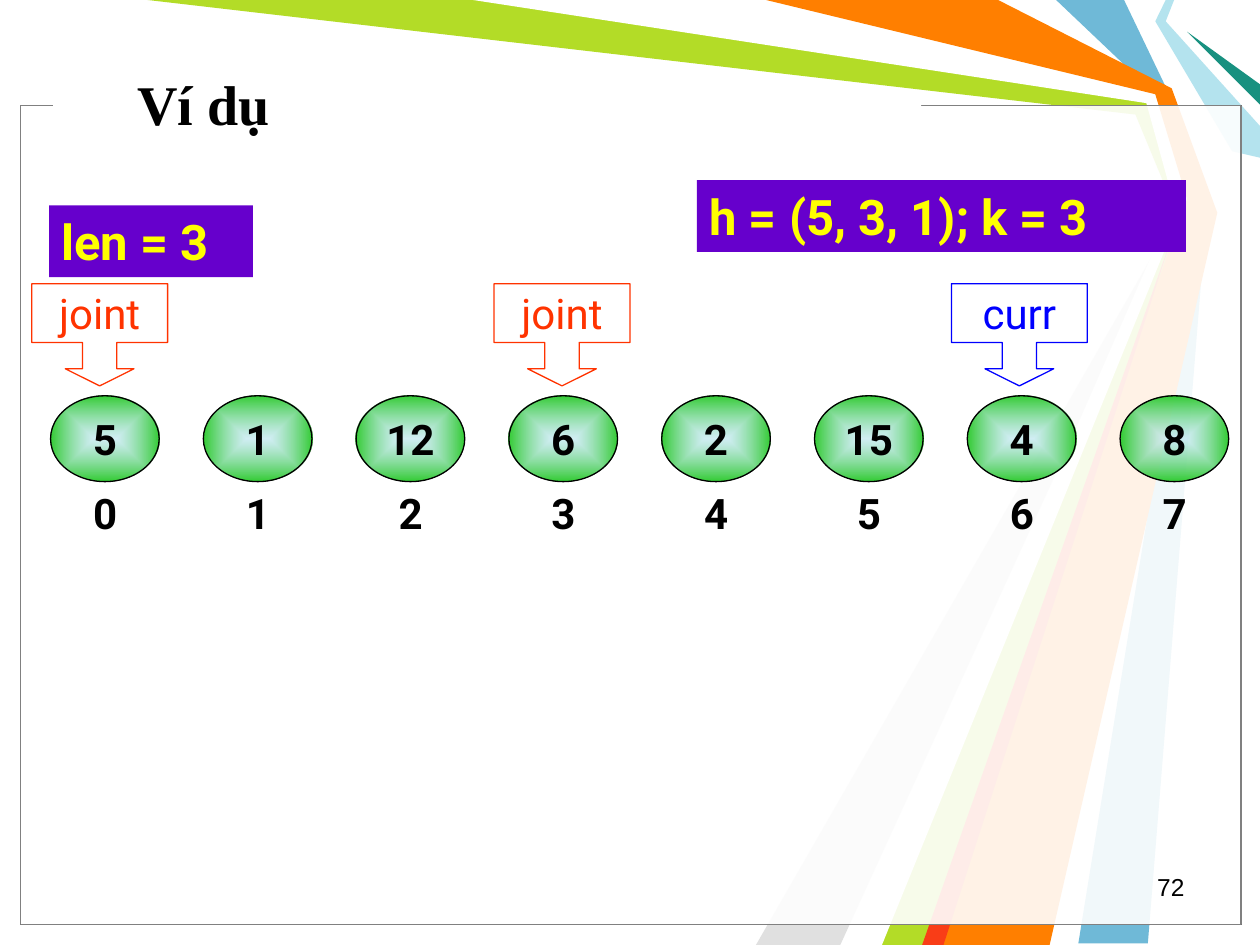
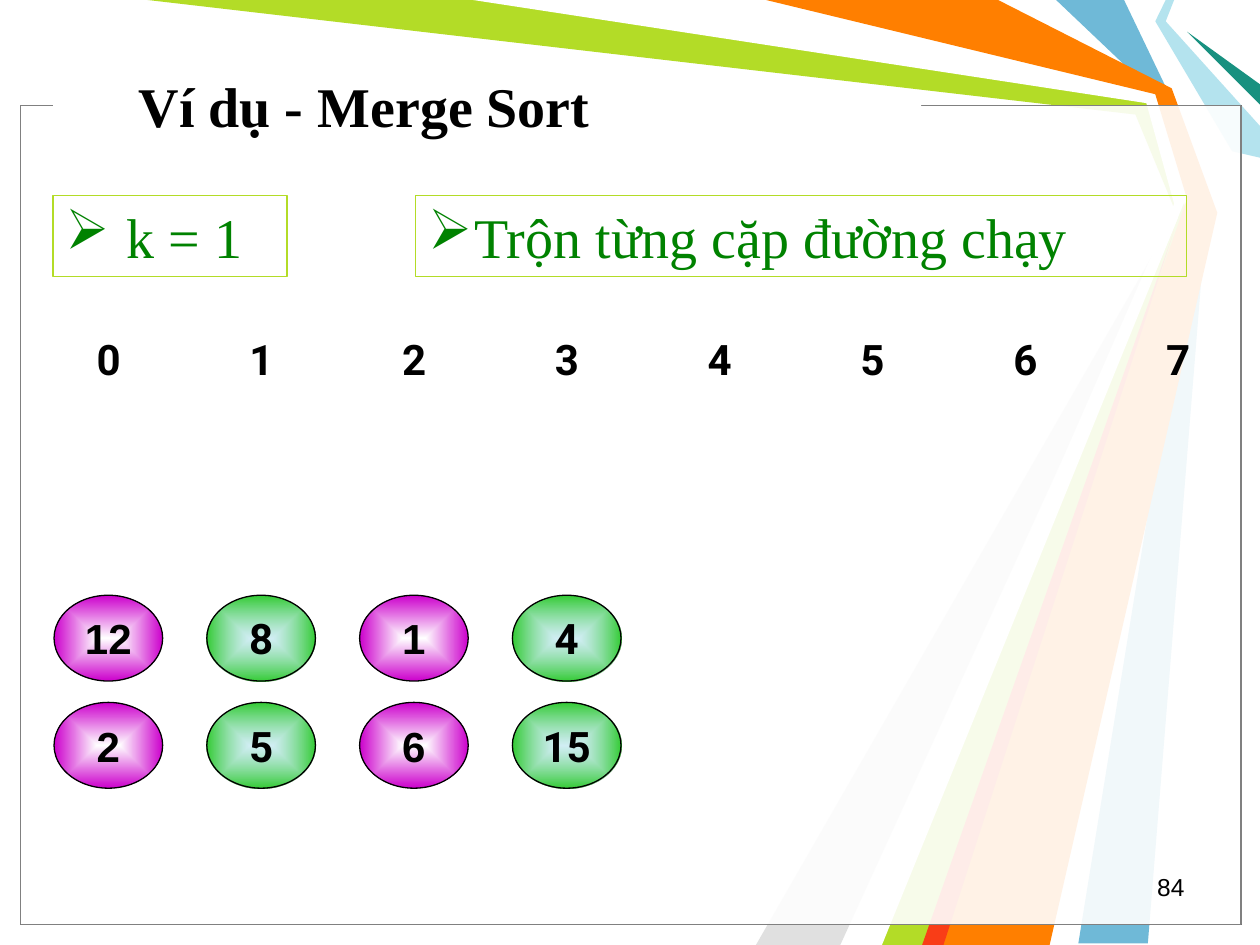
"""Build two sorting example slides over a shared layout of coloured rays."""
from pptx import Presentation
from pptx.dml.color import RGBColor
from pptx.enum.shapes import MSO_SHAPE as Shape
from pptx.enum.text import MSO_ANCHOR as Anchor, MSO_AUTO_SIZE as AutoSize, PP_ALIGN as Align
from pptx.oxml import parse_xml
from pptx.oxml.ns import nsdecls, qn
from pptx.util import Cm, Pt

BLACK = RGBColor(0x00, 0x00, 0x00)
WHITE = RGBColor(0xFF, 0xFF, 0xFF)
GREY = RGBColor(0x80, 0x80, 0x80)
LIGHT_GREY = RGBColor(0xE0, 0xE0, 0xE0)
SKY = RGBColor(0x6F, 0xB9, 0xD7)
LIME = RGBColor(0xB3, 0xDC, 0x27)
PALE_BLUE = RGBColor(0xB4, 0xE3, 0xEE)
TEAL = RGBColor(0x18, 0x91, 0x80)
ORANGE = RGBColor(0xFF, 0x7F, 0x00)
RED = RGBColor(0xF9, 0x3D, 0x17)
GREEN = RGBColor(0x33, 0xCC, 0x33)
DARK_GREEN = RGBColor(0x00, 0x82, 0x00)
MAGENTA = RGBColor(0xCC, 0x00, 0xCC)
PURPLE = RGBColor(0x66, 0x00, 0xCC)
YELLOW = RGBColor(0xFF, 0xFF, 0x00)
BLUE = RGBColor(0x00, 0x00, 0xFF)
VERMILION = RGBColor(0xFF, 0x33, 0x00)

DIGIT = {"name": "Roboto", "size": Pt(24), "bold": True}
ARIAL_DIGIT = {**DIGIT, "name": "Arial"}
POINTER = {**DIGIT, "bold": False}
BANNER = {"name": "Roboto", "size": Pt(28), "bold": True}
TITLE = {"name": "Times New Roman", "size": Pt(32), "bold": True}
NOTE = {**TITLE, "bold": False}
PAGE = {"name": "Arial", "size": Pt(14)}

RAYS = [
    (SKY, [(22.66, 0), (23.6, 1.96), (24.33, 4.24), (23.14, 19.02),
           (21.74, 19.02), (24.13, 4.24), (23.29, 1.9), (21.29, 0)]),
    (LIME, [(2.97, 0), (9.73, 0), (23.22, 1.98), (23.93, 4.29),
            (18.85, 19.05), (17.58, 19.05), (23.75, 4.39), (22.89, 2.31)]),
    (LIGHT_GREY, [(16.94, 19.05), (23.55, 4.6), (15.24, 19.05)]),
    (WHITE, [(9.53, 0), (23.11, 2.08), (23.67, 4.11), (17.15, 19.05),
             (17.78, 19.05), (23.9, 4.01), (23.29, 1.9), (15.24, 0)]),
    (PALE_BLUE, [(23.5, 0), (23.29, 0.43), (24.84, 3.05), (25.4, 3.18),
                 (25.4, 2.54), (23.5, 0.43), (23.67, 0)]),
    (TEAL, [(25.4, 2.11), (23.93, 0.64), (25.4, 1.7)]),
    (ORANGE, [(15.44, 0), (20.12, 0), (23.62, 1.78), (24.54, 4.29),
              (21.16, 19.05), (18.62, 19.05), (23.93, 4.01), (23.29, 1.9)]),
    (RED, [(18.59, 19.05), (23.67, 4.65), (19.02, 19.05)]),
]
STEP = 3.08
DISC_SIZE = (2.19, 1.73)


def add_box(slide, kind, place, fill=None, line=None, text="", look=DIGIT,
            color=BLACK, align=Align.CENTER, margin=0.25):
    """Add a preset shape with flat fill, outline and one line of text."""
    shape = slide.shapes.add_shape(kind, *[Cm(length) for length in place])
    shape.shadow.inherit = False
    if fill is None:
        shape.fill.background()
    else:
        shape.fill.solid()
        shape.fill.fore_color.rgb = fill
    if line is None:
        shape.line.fill.background()
    else:
        shape.line.color.rgb = line
        shape.line.width = Pt(0.75)
    if text:
        frame = shape.text_frame
        frame.word_wrap = False
        frame.vertical_anchor = Anchor.MIDDLE
        frame.margin_left = frame.margin_right = Cm(margin)
        frame.margin_top = frame.margin_bottom = 0
        paragraph = frame.paragraphs[0]
        paragraph.alignment = align
        run = paragraph.add_run()
        run.text = text
        run.font.color.rgb = color
        for name, value in look.items():
            setattr(run.font, name, value)
    return shape


def add_disc(slide, left, top, text, center, edge, look):
    """Add a numbered disc shaded from its center to its edge."""
    disc = add_box(slide, Shape.OVAL, (left, top, *DISC_SIZE), line=BLACK,
                   text=text, look=look, margin=0)
    disc.fill.gradient()
    for stop, color in zip(disc.fill.gradient_stops, (center, edge)):
        stop.color.rgb = color
    gradient = disc.element.spPr.find(qn("a:gradFill"))
    gradient.remove(gradient.find(qn("a:lin")))
    gradient.append(parse_xml(
        f'<a:path {nsdecls("a")} path="shape">'
        '<a:fillToRect l="50000" t="50000" r="50000" b="50000"/></a:path>'))
    if center == PALE_BLUE:
        inner = next(gradient.iter(qn("a:srgbClr")))
        inner.append(parse_xml(f'<a:alpha {nsdecls("a")} val="60000"/>'))


presentation = Presentation()
presentation.slide_width, presentation.slide_height = Cm(25.4), Cm(19.05)
layout = presentation.slide_layouts[5]
shell_slide = presentation.slides.add_slide(layout)
merge_slide = presentation.slides.add_slide(layout)

backdrop = []
for color, points in RAYS:
    corners = [(Cm(x), Cm(y)) for x, y in points]
    builder = shell_slide.shapes.build_freeform(*corners[0])
    builder.add_line_segments(corners[1:], close=True)
    ray = builder.convert_to_shape()
    ray.shadow.inherit = False
    ray.fill.solid()
    ray.fill.fore_color.rgb = color
    ray.line.fill.background()
    backdrop.append(ray)
for color in (BLACK, GREY):
    panel = add_box(shell_slide, Shape.RECTANGLE, (0.41, 2.13, 24.61, 16.51), WHITE, color)
    tint = next(panel.element.spPr.iter(qn("a:srgbClr")))
    tint.append(parse_xml(f'<a:alpha {nsdecls("a")} val="69000"/>'))
    backdrop.append(panel)
backdrop.append(add_box(shell_slide, Shape.RECTANGLE, (1.07, 1.88, 17.5, 0.43), WHITE))
for position, shape in enumerate(backdrop, start=2):
    layout.shapes.element.insert(position, shape.element)

for slide, heading, place, page, left, top in (
        (shell_slide, "Ví dụ", (2.51, 1.19, 17.5, 1.78), "72", 1.02, 9.5),
        (merge_slide, "Ví dụ - Merge Sort", (2.54, 1.07, 17.5, 2.11), "84", 1.09, 6.4)):
    title = slide.shapes.title
    title.left, title.top, title.width, title.height = [Cm(length) for length in place]
    title.text_frame.text = heading
    title.text_frame.auto_size = AutoSize.NONE
    title.text_frame.vertical_anchor = Anchor.MIDDLE
    paragraph = title.text_frame.paragraphs[0]
    paragraph.alignment = Align.LEFT
    paragraph.font.color.rgb = BLACK
    for name, value in TITLE.items():
        setattr(paragraph.font, name, value)
    add_box(slide, Shape.RECTANGLE, (18.21, 17.45, 5.92, 0.84), text=page, look=PAGE,
            align=Align.RIGHT)
    for index in range(8):
        add_box(slide, Shape.OVAL, (left + index * STEP, top, 2.2, 1.68),
                text=str(index), margin=0)

for index, number in enumerate((5, 1, 12, 6, 2, 15, 4, 8)):
    add_disc(shell_slide, 1.02 + index * STEP, 7.98, str(number), PALE_BLUE, GREEN, DIGIT)
for text, place in (("h = (5, 3, 1); k = 3", (14.05, 3.63, 9.86, 1.45)),
                    ("len = 3", (0.99, 4.14, 4.11, 1.45))):
    add_box(shell_slide, Shape.RECTANGLE, place, PURPLE, text=text, look=BANNER,
            color=YELLOW, align=Align.LEFT)
for text, left, color in (("curr", 19.18, BLUE), ("joint", 0.64, VERMILION),
                          ("joint", 9.96, VERMILION)):
    callout = add_box(shell_slide, Shape.DOWN_ARROW_CALLOUT, (left, 5.72, 2.74, 2.06),
                      line=color, text=text, look=POINTER, color=color, margin=0)
    for index, value in enumerate((0.336, 0.336, 0.167, 0.575)):
        callout.adjustments[index] = value

for row, numbers in enumerate(((12, 8, 1, 4), (2, 5, 6, 15))):
    for column, number in enumerate(numbers):
        style = (PALE_BLUE, GREEN, DIGIT) if column % 2 else (WHITE, MAGENTA, ARIAL_DIGIT)
        add_disc(merge_slide, 1.09 + column * STEP, 12 + row * 2.16, str(number), *style)
for text, left, width, indent in (("k = 1", 1.07, 4.72, 1.24),
                                  ("Trộn từng cặp đường chạy", 8.38, 15.54, 0.94)):
    note = add_box(merge_slide, Shape.RECTANGLE, (left, 3.94, width, 1.63), line=LIME,
                   text=text, look=NOTE, color=DARK_GREEN, align=Align.LEFT)
    properties = note.text_frame.paragraphs[0]._p.get_or_add_pPr()
    properties.set("marL", str(Cm(indent)))
    properties.set("indent", str(-Cm(indent)))
    properties.append(parse_xml(f'<a:buChar {nsdecls("a")} char="➢"/>'))

presentation.save("out.pptx")
